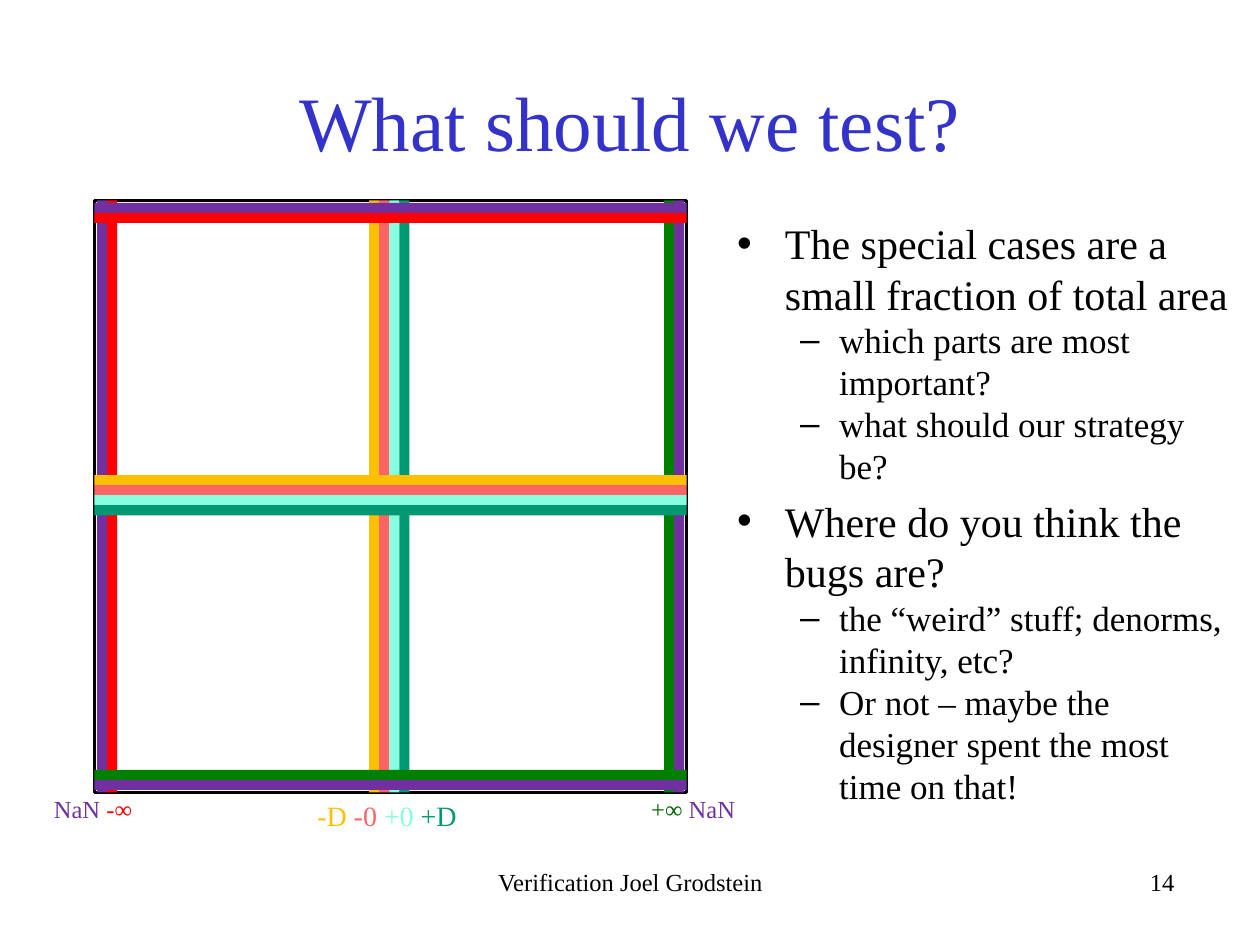
from dataclasses import dataclass

from lxml import etree
from pptx import Presentation
from pptx.dml.color import RGBColor
from pptx.enum.shapes import MSO_SHAPE as Shape
from pptx.enum.text import MSO_ANCHOR as Anchor, MSO_AUTO_SIZE as AutoSize, PP_ALIGN as Align
from pptx.oxml.ns import qn
from pptx.util import Inches, Pt


@dataclass(frozen=True)
class Theme:
    font: str = "Times New Roman"
    title: str = "3333CC"
    text: str = "000000"
    nan: str = "7030A0"
    minus_infinity: str = "FF0000"
    minus_denorm: str = "FFC000"
    minus_zero: str = "FF6464"
    plus_zero: str = "85FFE0"
    plus_denorm: str = "009973"
    plus_infinity: str = "008000"
    plus_infinity_label: str = "006600"
    title_size: int = 44
    bullet_sizes: tuple[int, int] = (24, 20)
    zero_label_size: int = 16
    small_size: int = 14


@dataclass(frozen=True)
class Box:
    left: float
    top: float
    width: float
    height: float

    def lengths(self) -> tuple:
        return tuple(Inches(n) for n in (self.left, self.top, self.width, self.height))


@dataclass(frozen=True)
class Band:
    offset: float
    color: str


@dataclass(frozen=True)
class Label:
    box: Box
    size: int
    colored_texts: tuple[tuple[str, str], ...]
    align: Align = Align.LEFT


@dataclass(frozen=True)
class Bullet:
    level: int
    text: str


THEME = Theme()
SQUARE = Box(0.75, 1.59, 4.7, 4.7)
BAND_WIDTH = 0.08
BANDS = (
    Band(0.02, THEME.nan),
    Band(0.1, THEME.minus_infinity),
    Band(2.18, THEME.minus_denorm),
    Band(2.26, THEME.minus_zero),
    Band(2.34, THEME.plus_zero),
    Band(2.42, THEME.plus_denorm),
    Band(4.52, THEME.plus_infinity),
    Band(4.6, THEME.nan),
)
LABELS = (
    Label(Box(2.42, 6.29, 1.46, 0.37), THEME.zero_label_size,
          (("-D ", THEME.minus_denorm), ("-0 ", THEME.minus_zero),
           ("+0 ", THEME.plus_zero), ("+D", THEME.plus_denorm))),
    Label(Box(5.07, 6.25, 0.93, 0.34), THEME.small_size,
          (("+∞ ", THEME.plus_infinity_label), ("NaN", THEME.nan))),
    Label(Box(0.33, 6.25, 1, 0.34), THEME.small_size,
          (("NaN ", THEME.nan), ("-∞", THEME.minus_infinity))),
    Label(Box(3.42, 6.83, 3.17, 0.5), THEME.small_size,
          (("Verification Joel Grodstein", THEME.text),), Align.CENTER),
    Label(Box(6.25, 6.83, 3.17, 0.5), THEME.small_size,
          (("14", THEME.text),), Align.RIGHT),
)
BULLETS = (
    Bullet(0, "The special cases are a small fraction of total area"),
    Bullet(1, "which parts are most important?"),
    Bullet(1, "what should our strategy be?"),
    Bullet(0, "Where do you think the bugs are?"),
    Bullet(1, "the “weird” stuff; denorms, infinity, etc?"),
    Bullet(1, "Or not – maybe the designer spent the most time on that!"),
)
BULLET_MARKS = ("•", "–")
BULLET_INDENTS = ((0.38, -0.38), (0.81, -0.31))


def set_font(font, size: int, color: str) -> None:
    font.name = THEME.font
    font.size = Pt(size)
    font.color.rgb = RGBColor.from_string(color)


def place(shape, box: Box) -> None:
    shape.left, shape.top, shape.width, shape.height = box.lengths()


def add_rectangle(slide, box: Box):
    shape = slide.shapes.add_shape(Shape.RECTANGLE, *box.lengths())
    shape.shadow.inherit = False
    return shape


def add_frame(slide) -> None:
    shape = add_rectangle(slide, SQUARE)
    shape.fill.background()
    shape.line.color.rgb = RGBColor.from_string(THEME.text)
    shape.line.width = Pt(2)


def add_band(slide, box: Box, color: str) -> None:
    shape = add_rectangle(slide, box)
    shape.fill.solid()
    shape.fill.fore_color.rgb = RGBColor.from_string(color)
    shape.line.fill.background()


def add_bands(slide) -> None:
    for band in BANDS:
        add_band(slide, Box(SQUARE.left + band.offset, SQUARE.top, BAND_WIDTH, SQUARE.height), band.color)
    for band in BANDS:
        add_band(slide, Box(SQUARE.left, SQUARE.top + band.offset, SQUARE.width, BAND_WIDTH), band.color)


def add_label(slide, label: Label) -> None:
    text_frame = slide.shapes.add_textbox(*label.box.lengths()).text_frame
    text_frame.word_wrap = True
    paragraph = text_frame.paragraphs[0]
    paragraph.alignment = label.align
    for text, color in label.colored_texts:
        run = paragraph.add_run()
        run.text = text
        set_font(run.font, label.size, color)


def fill_title(slide) -> None:
    title = slide.shapes.title
    place(title, Box(0.75, 0.33, 8.5, 1.25))
    title.text_frame.text = "What should we test?"
    title.text_frame.auto_size = AutoSize.NONE
    title.text_frame.vertical_anchor = Anchor.MIDDLE
    paragraph = title.text_frame.paragraphs[0]
    paragraph.alignment = Align.CENTER
    set_font(paragraph.font, THEME.title_size, THEME.title)


def format_bullet(paragraph, bullet: Bullet, space_before: float) -> None:
    paragraph.text = bullet.text
    paragraph.level = bullet.level
    paragraph.space_before = Pt(space_before)
    properties = paragraph._p.get_or_add_pPr()
    margin, indent = BULLET_INDENTS[bullet.level]
    properties.set("marL", str(Inches(margin)))
    properties.set("indent", str(Inches(indent)))
    mark = etree.SubElement(properties, qn("a:buChar"))
    mark.set("char", BULLET_MARKS[bullet.level])
    set_font(paragraph.font, THEME.bullet_sizes[bullet.level], THEME.text)


def fill_body(slide) -> None:
    body = slide.placeholders[1]
    place(body, Box(5.75, 1.68, 4.1, 5.15))
    text_frame = body.text_frame
    text_frame.auto_size = AutoSize.NONE
    for index, bullet in enumerate(BULLETS):
        paragraph = text_frame.add_paragraph() if index else text_frame.paragraphs[0]
        format_bullet(paragraph, bullet, 4.8 if index and bullet.level == 0 else 0)


def main() -> None:
    presentation = Presentation()
    presentation.slide_width = Inches(10)
    presentation.slide_height = Inches(7.5)
    slide = presentation.slides.add_slide(presentation.slide_layouts[1])
    fill_title(slide)
    fill_body(slide)
    for label in LABELS:
        add_label(slide, label)
    add_frame(slide)
    add_bands(slide)
    presentation.save("out.pptx")


if __name__ == "__main__":
    main()
